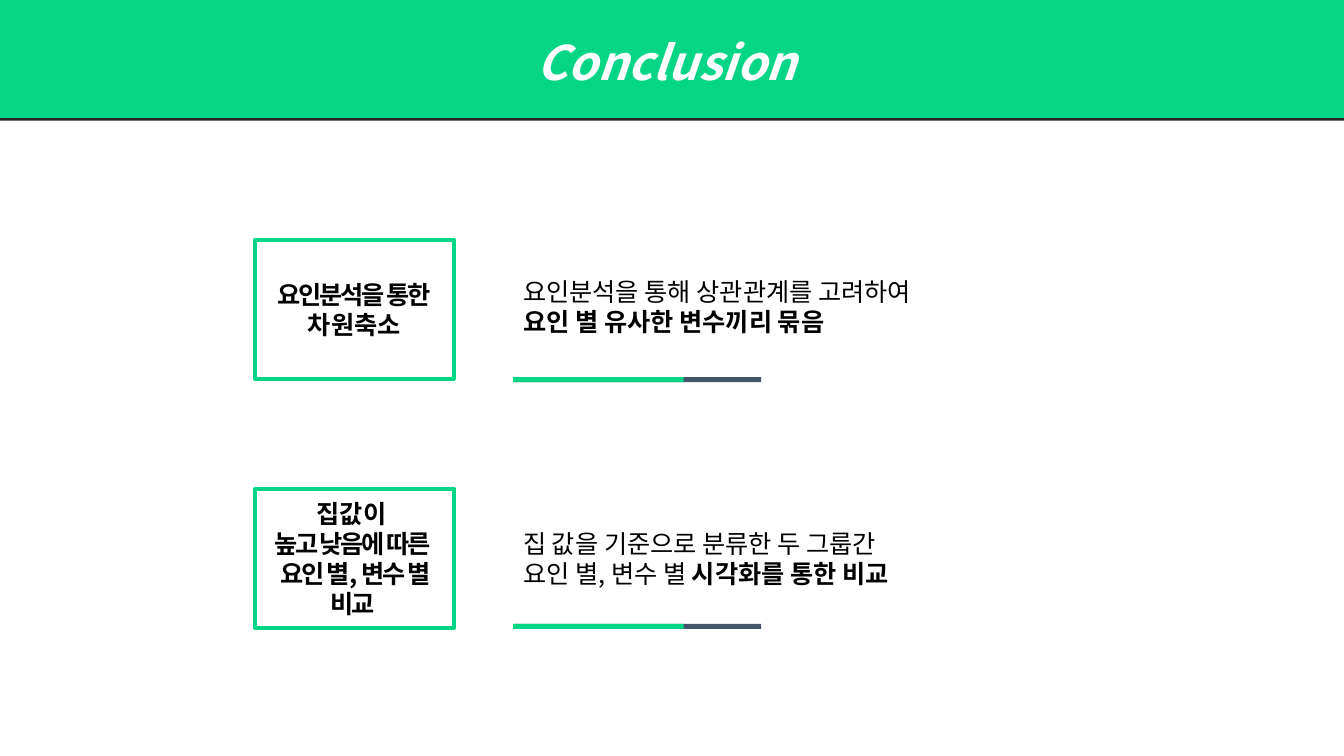
import pptx
import pptx.util
import pptx.dml.color
import pptx.enum.shapes
import pptx.enum.text
import pptx.oxml.ns
from lxml import etree

Inches = pptx.util.Inches
Pt = pptx.util.Pt
ALIGN = pptx.enum.text.PP_ALIGN
ANCHOR = pptx.enum.text.MSO_ANCHOR
qn = pptx.oxml.ns.qn


def rgb(value):
    return pptx.dml.color.RGBColor.from_string(value)


class SlideBuilder:
    FONT = "Noto Sans CJK KR"
    GREEN = "05D686"
    SLATE = "44546A"
    BLACK = "000000"
    WHITE = "FFFFFF"

    def __init__(self, prs):
        self.slide = prs.slides.add_slide(prs.slide_layouts[5])

    def style(self, font, size, color):
        font.name = self.FONT
        font.size = Pt(size)
        font.color.rgb = rgb(color)

    def paragraphs(self, tf, lines, align):
        for i, (runs, spacing) in enumerate(lines):
            p = tf.paragraphs[0] if i == 0 else tf.add_paragraph()
            p.alignment = align
            self.style(p.font, 18, self.BLACK)
            if len({bold for _, bold in runs}) == 1:
                p.font.bold = runs[0][1]
            for text, bold in runs:
                r = p.add_run()
                r.text = text
                if p.font.bold is None:
                    r.font.bold = bold
                rPr = r._r.get_or_add_rPr()
                if spacing:
                    rPr.set("spc", str(int(spacing * 100)))
                etree.SubElement(rPr, qn("a:ea")).set("typeface", self.FONT)

    def title(self, text):
        sp = self.slide.shapes.title
        sp.left, sp.top = Inches(0), Inches(-0.01)
        sp.width, sp.height = Inches(13.33), Inches(1.18)
        sp.fill.solid()
        sp.fill.fore_color.rgb = rgb(self.GREEN)
        effects = etree.SubElement(sp._element.spPr, qn("a:effectLst"))
        shadow = etree.SubElement(effects, qn("a:outerShdw"), dist=str(Pt(2)),
                                  dir="5400000", algn="t", rotWithShape="0")
        etree.SubElement(shadow, qn("a:srgbClr"), val="262626")
        tf = sp.text_frame
        tf.text = text
        tf.auto_size = pptx.enum.text.MSO_AUTO_SIZE.NONE
        tf.vertical_anchor = ANCHOR.TOP
        p = tf.paragraphs[0]
        p.alignment = ALIGN.CENTER
        p.line_spacing = 1.5
        self.style(p.font, 34, self.WHITE)
        p.font.bold = p.font.italic = True

    def rect(self, x, y, w, h, fill=None, line=None):
        sp = self.slide.shapes.add_shape(
            pptx.enum.shapes.MSO_SHAPE.RECTANGLE,
            Inches(x), Inches(y), Inches(w), Inches(h))
        sp.shadow.inherit = False
        if fill:
            sp.fill.solid()
            sp.fill.fore_color.rgb = rgb(fill)
        else:
            sp.fill.background()
        if line:
            sp.line.color.rgb = rgb(line)
            sp.line.width = Pt(3)
        else:
            sp.line.fill.background()
        return sp

    def label(self, y, lines):
        tf = self.rect(2.53, y, 1.97, 1.38, line=self.GREEN).text_frame
        tf.word_wrap = True
        tf.vertical_anchor = ANCHOR.MIDDLE
        self.paragraphs(tf, lines, ALIGN.CENTER)

    def description(self, y, lines):
        sp = self.slide.shapes.add_textbox(
            Inches(5.09), Inches(y), Inches(5.51), Inches(0.71))
        tf = sp.text_frame
        tf.word_wrap = True
        tf.auto_size = pptx.enum.text.MSO_AUTO_SIZE.SHAPE_TO_FIT_TEXT
        self.paragraphs(tf, lines, ALIGN.LEFT)

    def underline(self, y):
        for width, color in ((2.46, self.SLATE), (1.69, self.GREEN)):
            self.rect(5.09, y, width, 0.05, fill=color)


def main():
    prs = pptx.Presentation()
    prs.slide_width, prs.slide_height = Inches(13.33), Inches(7.5)
    s = SlideBuilder(prs)
    s.title("Conclusion ")

    conclusions = [
        (2.38, 2.69, 3.74,
         [([("요인분석을 통한", True)], -1.5),
          ([("차원축소", True)], 0)],
         [([("요인분석을 통해 상관관계를 고려하여", False)], 0),
          ([("요인 별 유사한 변수끼리 묶음", True)], 0)]),
        (4.85, 5.19, 6.19,
         [([("집값이 ", True)], 0),
          ([("높고 낮음에 따른 ", True)], -1.5),
          ([("요인 별, 변수 별 비교 ", True)], -1.5)],
         [([("집 값을 기준으로 분류한 두 그룹간", False)], 0),
          ([("요인 별, 변수 별 ", False), ("시각화를 통한 비교", True)], 0)]),
    ]
    for label_y, text_y, line_y, label, description in conclusions:
        s.label(label_y, label)
        s.description(text_y, description)
        s.underline(line_y)

    prs.save("out.pptx")


if __name__ == "__main__":
    main()
